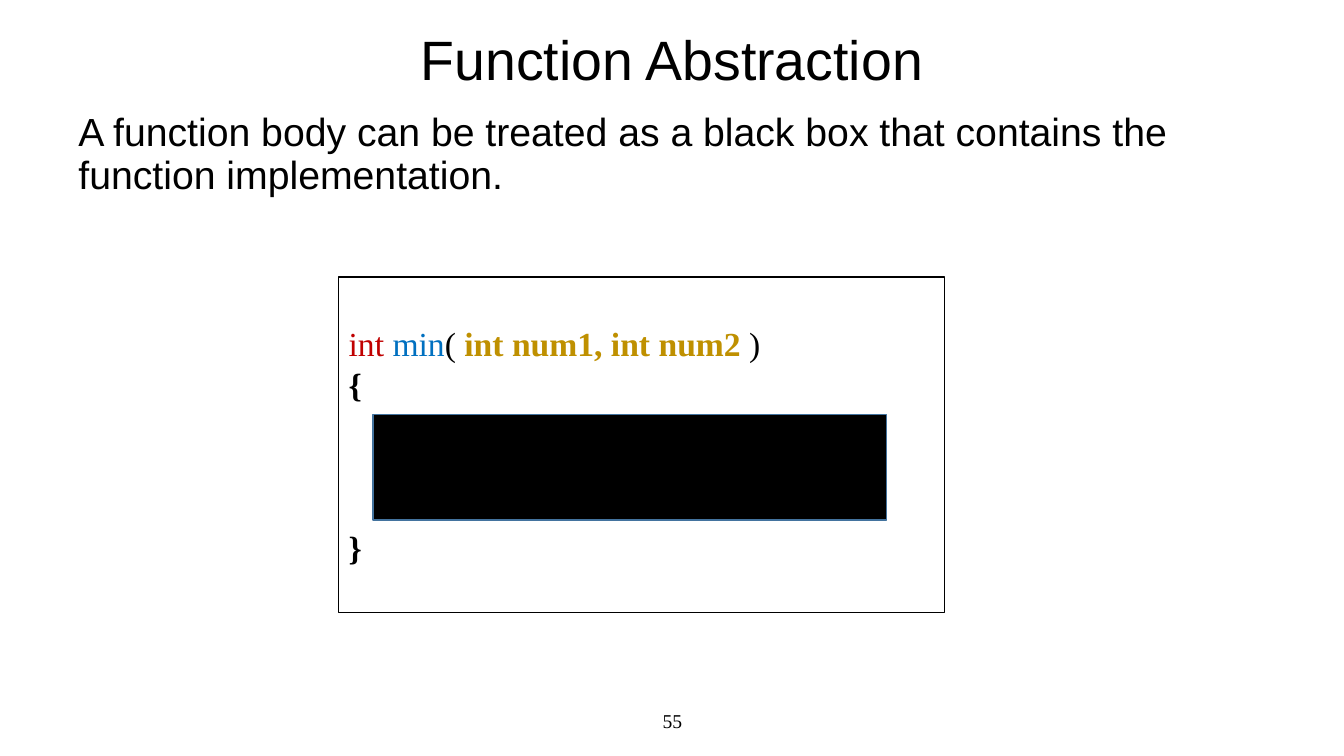
from dataclasses import dataclass
from typing import Optional

from pptx import Presentation
from pptx.dml.color import RGBColor
from pptx.enum.shapes import MSO_SHAPE
from pptx.enum.text import MSO_ANCHOR, PP_ALIGN
from pptx.util import Inches, Pt

RECTANGLE = MSO_SHAPE.RECTANGLE
TOP, MIDDLE = MSO_ANCHOR.TOP, MSO_ANCHOR.MIDDLE
LEFT, CENTER = PP_ALIGN.LEFT, PP_ALIGN.CENTER

BLACK = RGBColor(0x00, 0x00, 0x00)
RED = RGBColor(0xC0, 0x00, 0x00)
BLUE = RGBColor(0x00, 0x70, 0xC0)
GOLD = RGBColor(0xBF, 0x90, 0x00)
STEEL_BLUE = RGBColor(0x43, 0x73, 0x9E)

SANS = "Arial"
SERIF = "Times New Roman"


@dataclass
class Box:
    left: float
    top: float
    width: float
    height: float

    def lengths(self) -> list:
        return [Inches(value) for value in (self.left, self.top, self.width, self.height)]


@dataclass
class Run:
    text: str
    color: RGBColor = BLACK
    bold: bool = False


@dataclass
class Line:
    runs: list[Run]
    space_before: float = 0


@dataclass
class Label:
    box: Box
    text: str
    font: str
    size: float
    anchor: MSO_ANCHOR = MIDDLE
    align: PP_ALIGN = CENTER
    line_spacing: float = 1.0


def write_lines(frame, lines: list[Line], font: str, size: float,
                align: PP_ALIGN = LEFT, line_spacing: float = 1.0) -> None:
    frame.word_wrap = True
    for index, line in enumerate(lines):
        paragraph = frame.add_paragraph() if index else frame.paragraphs[0]
        paragraph.alignment = align
        paragraph.line_spacing = line_spacing
        paragraph.space_before = Pt(line.space_before)
        for part in line.runs:
            run = paragraph.add_run()
            run.text = part.text
            run.font.name = font
            run.font.size = Pt(size)
            run.font.bold = part.bold
            run.font.color.rgb = part.color


def add_label(slide, label: Label) -> None:
    frame = slide.shapes.add_textbox(*label.box.lengths()).text_frame
    frame.vertical_anchor = label.anchor
    write_lines(frame, [Line([Run(label.text)])], label.font, label.size,
                label.align, label.line_spacing)


def add_rectangle(slide, box: Box, line_color: RGBColor, fill_color: Optional[RGBColor] = None):
    shape = slide.shapes.add_shape(RECTANGLE, *box.lengths())
    shape.shadow.inherit = False
    shape.line.color.rgb = line_color
    shape.line.width = Pt(1)
    if fill_color is None:
        shape.fill.background()
    else:
        shape.fill.solid()
        shape.fill.fore_color.rgb = fill_color
    return shape


LABELS = [
    Label(Box(4.42, 6.95, 4.5, 0.4), "55", SERIF, 14),
    Label(Box(0, 0.24, 13.33, 0.75), "Function Abstraction", SANS, 39.6, line_spacing=0.9),
    Label(Box(0.68, 1.07, 12.03, 1.75),
          "A function body can be treated as a black box that contains the "
          "function implementation.",
          SANS, 28, TOP, LEFT, 0.9),
]

# The space before the closing brace leaves room for the black box
CODE = [
    Line([Run("int ", RED), Run("min", BLUE), Run("( "),
          Run("int num1, int num2 ", GOLD, True), Run(")")]),
    Line([Run("{", bold=True)]),
    Line([Run("}", bold=True)], space_before=87.5),
]


def main() -> None:
    presentation = Presentation()
    presentation.slide_width = Inches(13.33)
    presentation.slide_height = Inches(7.5)
    slide = presentation.slides.add_slide(presentation.slide_layouts[6])

    # Page number, title and statement
    for label in LABELS:
        add_label(slide, label)

    # Function with its hidden body
    function_frame = add_rectangle(slide, Box(3.36, 2.75, 6.01, 3.33), BLACK).text_frame
    function_frame.vertical_anchor = MIDDLE
    write_lines(function_frame, CODE, SERIF, 24)
    add_rectangle(slide, Box(3.7, 4.11, 5.09, 1.05), STEEL_BLUE, BLACK)

    presentation.save("out.pptx")


if __name__ == "__main__":
    main()
